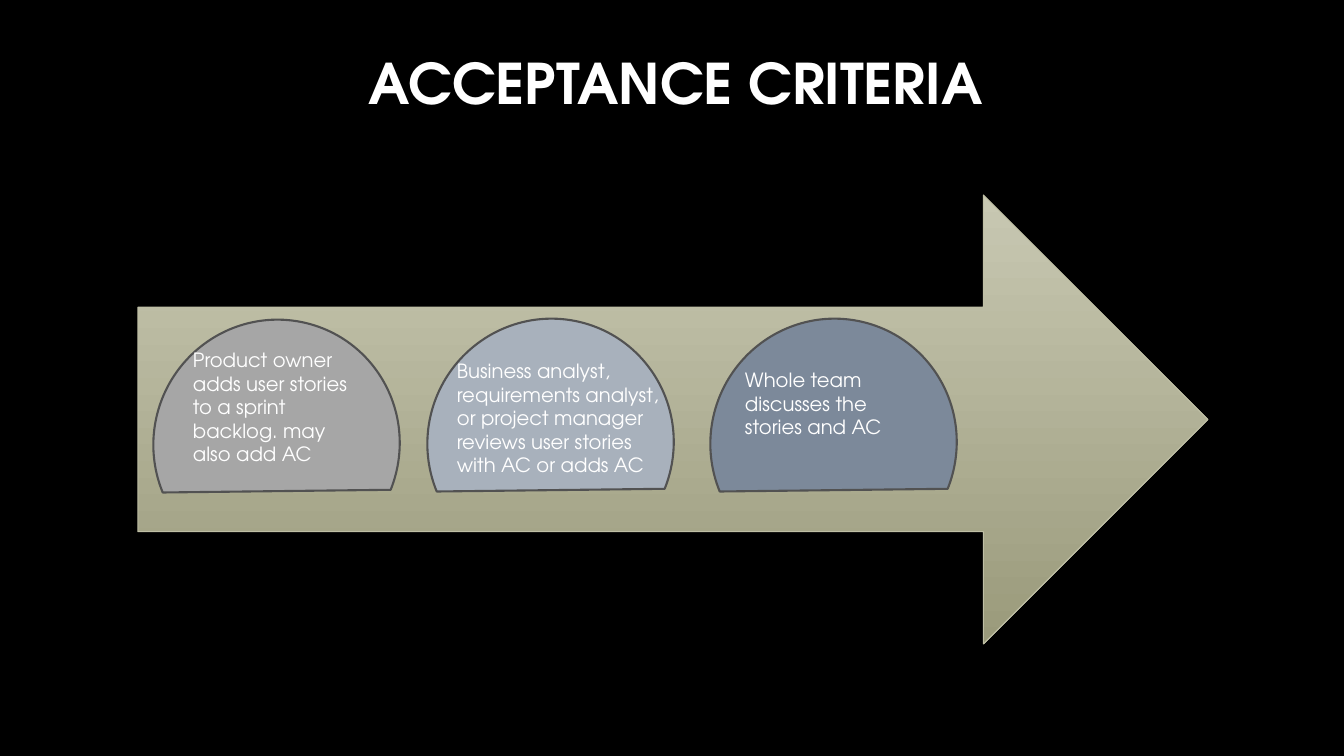
"""Build the acceptance criteria slide: three steps along a broad arrow."""
from dataclasses import dataclass

from pptx import Presentation
from pptx.dml.color import RGBColor
from pptx.enum.shapes import MSO_SHAPE
from pptx.enum.text import MSO_ANCHOR, MSO_AUTO_SIZE, PP_ALIGN
from pptx.shapes.autoshape import Shape
from pptx.slide import Slide
from pptx.text.text import TextFrame
from pptx.util import Emu, Pt


@dataclass(frozen=True)
class Theme:
    """Colours, type sizes and line widths of the slide."""
    font: str = "TeX Gyre Adventor"
    background: str = "000000"
    text: str = "FFFFFF"
    arrow_top: str = "C8C8B2"
    arrow_bottom: str = "9A9A7B"
    arrow_line: str = "BFBFA5"
    chord_line: str = "525252"
    title_size: int = 40
    body_size: int = 14


@dataclass(frozen=True)
class Box:
    """Position and size in px."""
    left: int
    top: int
    width: int
    height: int


@dataclass(frozen=True)
class Step:
    """A coloured chord and its caption."""
    chord: Box
    color: str
    caption: Box
    text: str


THEME = Theme()
SLIDE = Box(0, 0, 1344, 756)
TITLE = Box(126, 17, 1092, 130)
TITLE_INDENT = 243
ARROW = Box(138, 195, 1070, 449)
CHORD_ROTATION = 111.9
STEPS = (
    Step(Box(152, 321, 249, 246), "A6A6A6", Box(183, 343, 183, 129),
         "Product owner adds user stories to a sprint backlog. may also add AC"),
    Step(Box(426, 320, 249, 246), "A8B1BC", Box(447, 354, 236, 129),
         "Business analyst, requirements analyst, or project manager "
         "reviews user stories with AC or adds AC"),
    Step(Box(709, 320, 249, 246), "7C899A", Box(735, 363, 203, 82),
         "Whole team discusses the stories and AC"),
)


def px(length: int) -> Emu:
    """Turn px into EMU."""
    return Emu(round(length * 914400 / 100.8))


def color(value: str) -> RGBColor:
    """Turn a hex string into a colour."""
    return RGBColor.from_string(value)


def edges(box: Box) -> tuple[Emu, Emu, Emu, Emu]:
    """Give a box's left, top, width and height in EMU."""
    return px(box.left), px(box.top), px(box.width), px(box.height)


def write(frame: TextFrame, text: str, *, size: int, bold: bool = False) -> None:
    """Write left-aligned, wrapping text into a frame."""
    frame.word_wrap = True
    paragraph = frame.paragraphs[0]
    paragraph.alignment = PP_ALIGN.LEFT
    run = paragraph.add_run()
    run.text = text
    run.font.name = THEME.font
    run.font.size = Pt(size)
    run.font.bold = bold
    run.font.color.rgb = color(THEME.text)


def add_outlined(slide: Slide, kind: MSO_SHAPE, box: Box, *,
                 line: str, width: float) -> Shape:
    """Add a preset shape with an outline and no shadow."""
    shape = slide.shapes.add_shape(kind, *edges(box))
    shape.shadow.inherit = False
    shape.line.color.rgb = color(line)
    shape.line.width = Pt(width)
    return shape


def set_title(slide: Slide) -> None:
    """Move and fill the title placeholder."""
    title = slide.shapes.title
    title.left, title.top, title.width, title.height = edges(TITLE)
    frame = title.text_frame
    frame.auto_size = MSO_AUTO_SIZE.NONE
    frame.vertical_anchor = MSO_ANCHOR.MIDDLE
    frame.margin_left = px(TITLE_INDENT)
    write(frame, "ACCEPTANCE CRITERIA", size=THEME.title_size, bold=True)


def add_arrow(slide: Slide) -> None:
    """Add the arrow with its top-to-bottom gradient."""
    arrow = add_outlined(slide, MSO_SHAPE.RIGHT_ARROW, ARROW,
                         line=THEME.arrow_line, width=0.75)
    arrow.fill.gradient()
    arrow.fill.gradient_angle = 270
    shades = (THEME.arrow_top, THEME.arrow_bottom)
    for position, (stop, shade) in enumerate(zip(arrow.fill.gradient_stops, shades)):
        stop.position = position
        stop.color.rgb = color(shade)


def add_chord(slide: Slide, step: Step) -> None:
    """Add the chord of a step."""
    chord = add_outlined(slide, MSO_SHAPE.CHORD, step.chord,
                         line=THEME.chord_line, width=1.5)
    chord.rotation = CHORD_ROTATION
    chord.fill.solid()
    chord.fill.fore_color.rgb = color(step.color)


def add_caption(slide: Slide, step: Step) -> None:
    """Add the caption of a step."""
    frame = slide.shapes.add_textbox(*edges(step.caption)).text_frame
    frame.auto_size = MSO_AUTO_SIZE.SHAPE_TO_FIT_TEXT
    write(frame, step.text, size=THEME.body_size)


def main() -> None:
    """Build and save the presentation."""
    presentation = Presentation()
    presentation.slide_width = px(SLIDE.width)
    presentation.slide_height = px(SLIDE.height)
    slide = presentation.slides.add_slide(presentation.slide_layouts.get_by_name("Title Only"))
    slide.background.fill.solid()
    slide.background.fill.fore_color.rgb = color(THEME.background)
    set_title(slide)
    add_arrow(slide)
    for step in STEPS:
        add_chord(slide, step)
    for step in STEPS:
        add_caption(slide, step)
    presentation.save("out.pptx")


if __name__ == "__main__":
    main()
